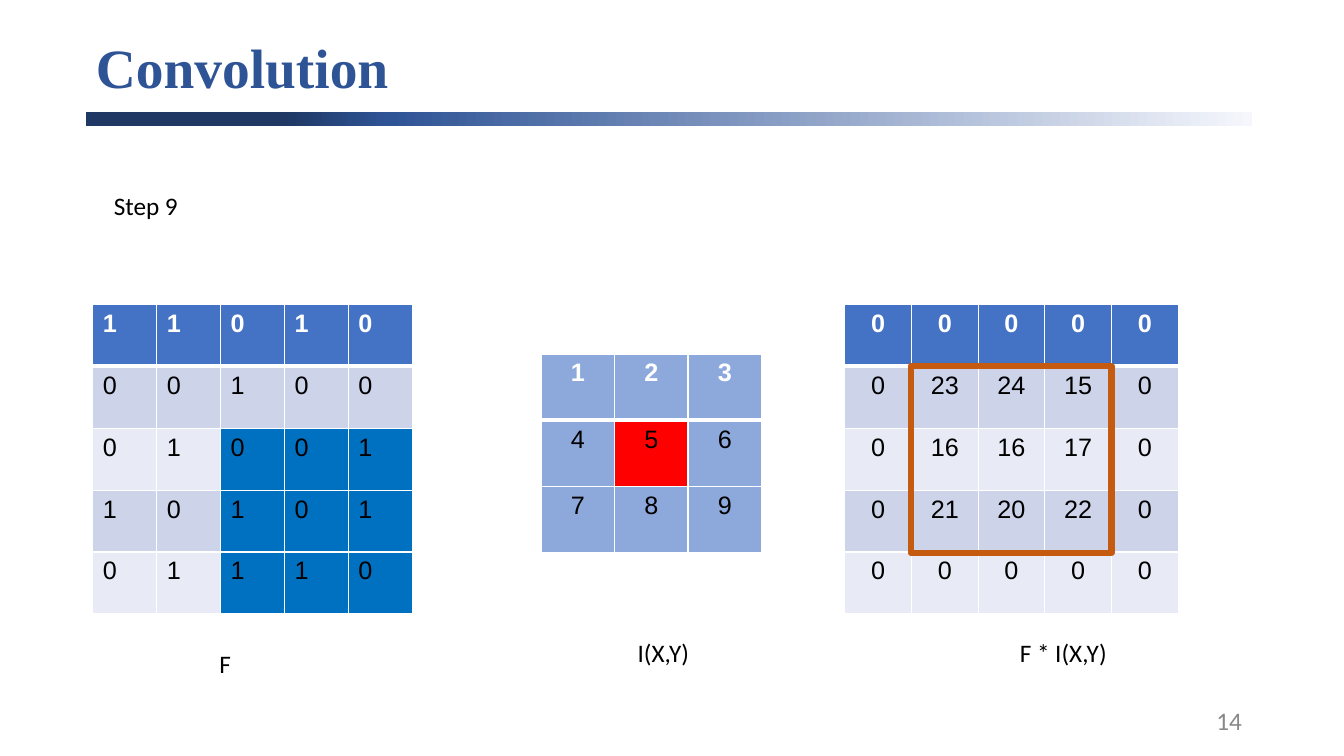
from dataclasses import dataclass, field

from lxml import etree
from pptx import Presentation
from pptx import util as u
from pptx.dml.color import RGBColor
from pptx.enum import shapes, text
from pptx.oxml import ns

COLORS = {
    "white": "FFFFFF",
    "black": "000000",
    "title": "2F5496",
    "navy": "1F3864",
    "mist": "F5F7FC",
    "header": "4472C4",
    "band_dark": "CDD4EA",
    "band_light": "E8EBF5",
    "window": "0070C0",
    "kernel": "8DA9DB",
    "center": "FF0000",
    "frame": "C55A11",
    "page": "888888",
}
BAR_STOPS = [(0, "navy"), (17, "navy"), (26, "title"), (100, "mist")]


@dataclass
class Matrix:
    left: float
    top: float
    column: float
    row: float
    values: list[list[int]]
    header: str = "header"
    bands: tuple[str, str] = ("band_dark", "band_light")
    align: text.PP_ALIGN = text.PP_ALIGN.CENTER
    marked: str = "window"
    marked_cells: set[tuple[int, int]] = field(default_factory=set)


@dataclass
class Label:
    words: str
    left: float
    top: float
    width: float
    color: str = "black"
    align: text.PP_ALIGN = text.PP_ALIGN.LEFT
    anchor: text.MSO_ANCHOR = text.MSO_ANCHOR.TOP
    wrap: bool = False


MATRICES = [
    Matrix(2.34, 7.67, 1.61, 1.56,
           [[1, 1, 0, 1, 0],
            [0, 0, 1, 0, 0],
            [0, 1, 0, 0, 1],
            [1, 0, 1, 0, 1],
            [0, 1, 1, 1, 0]],
           align=text.PP_ALIGN.LEFT,
           marked_cells={(r, c) for r in range(2, 5) for c in range(2, 5)}),
    Matrix(21.29, 7.67, 1.68, 1.56,
           [[0, 0, 0, 0, 0],
            [0, 23, 24, 15, 0],
            [0, 16, 16, 17, 0],
            [0, 21, 20, 22, 0],
            [0, 0, 0, 0, 0]]),
    Matrix(13.64, 8.92, 1.85, 1.67,
           [[1, 2, 3],
            [4, 5, 6],
            [7, 8, 9]],
           header="kernel", bands=("kernel", "kernel"),
           marked="center", marked_cells={(1, 1)}),
]

LABELS = [
    Label("Step 9", 2.62, 4.67, 2.13),
    Label("F", 5.28, 16.2, 0.81),
    Label("I(X,Y)", 15.82, 15.93, 1.83),
    Label("F * I(X,Y)", 25.45, 15.93, 2.74),
    Label("14", 23.93, 17.65, 7.62, "page", text.PP_ALIGN.RIGHT,
          text.MSO_ANCHOR.MIDDLE, True),
]


def rgb(name: str) -> RGBColor:
    return RGBColor.from_string(COLORS[name])


def style(paragraph, font: str, size: float, color: str, bold: bool = False) -> None:
    paragraph.font.name = font
    paragraph.font.size = u.Pt(size)
    paragraph.font.bold = bold
    paragraph.font.color.rgb = rgb(color)


def add_borders(cell, widths: dict[str, int]) -> None:
    properties = cell._tc.get_or_add_tcPr()
    for position, (side, width) in enumerate(widths.items()):
        border = etree.Element(ns.qn(f"a:ln{side}"), w=str(u.Pt(width)))
        fill = etree.SubElement(border, ns.qn("a:solidFill"))
        etree.SubElement(fill, ns.qn("a:srgbClr"), val=COLORS["white"])
        properties.insert(position, border)


def add_matrix(slide, matrix: Matrix) -> None:
    rows, columns = len(matrix.values), len(matrix.values[0])
    grid = slide.shapes.add_table(
        rows, columns, u.Cm(matrix.left), u.Cm(matrix.top),
        u.Cm(matrix.column * columns), u.Cm(matrix.row * rows)).table
    for column in grid.columns:
        column.width = u.Cm(matrix.column)
    for r, numbers in enumerate(matrix.values):
        grid.rows[r].height = u.Cm(matrix.row)
        row_color = matrix.bands[(r - 1) % 2] if r else matrix.header
        for c, number in enumerate(numbers):
            cell = grid.cell(r, c)
            cell.text = str(number)
            cell.fill.solid()
            cell.fill.fore_color.rgb = rgb(
                matrix.marked if (r, c) in matrix.marked_cells else row_color)
            paragraph = cell.text_frame.paragraphs[0]
            paragraph.alignment = matrix.align
            style(paragraph, "Arial", 18, "black" if r else "white", r == 0)
            add_borders(cell, {"L": 1, "R": 1, "T": 3 if r == 1 else 1,
                               "B": 1 if r else 3})


def add_label(slide, label: Label) -> None:
    frame = slide.shapes.add_textbox(
        u.Cm(label.left), u.Cm(label.top), u.Cm(label.width), u.Cm(1.03)).text_frame
    frame.word_wrap = label.wrap
    frame.vertical_anchor = label.anchor
    frame.text = label.words
    paragraph = frame.paragraphs[0]
    paragraph.alignment = label.align
    style(paragraph, "Calibri", 18, label.color)


def add_title(slide, words: str) -> None:
    title = slide.shapes.title
    title.left, title.top = u.Cm(2.16), u.Cm(0.91)
    title.width, title.height = u.Cm(29.21), u.Cm(1.75)
    title.text_frame.text = words
    title.text_frame.vertical_anchor = text.MSO_ANCHOR.MIDDLE
    paragraph = title.text_frame.paragraphs[0]
    paragraph.alignment = text.PP_ALIGN.LEFT
    paragraph.line_spacing = 0.9
    style(paragraph, "Times New Roman", 39.6, "title", True)


def add_rectangle(slide, left: float, top: float, width: float, height: float):
    rectangle = slide.shapes.add_shape(
        shapes.MSO_SHAPE.RECTANGLE, u.Cm(left), u.Cm(top), u.Cm(width), u.Cm(height))
    rectangle.shadow.inherit = False
    return rectangle


def add_title_bar(slide) -> None:
    bar = add_rectangle(slide, 2.16, 2.82, 29.39, 0.36)
    bar.line.fill.background()
    bar.fill.gradient()
    bar.fill.gradient_angle = 0
    stops = bar._element.spPr.find(".//" + ns.qn("a:gsLst"))
    for stop in list(stops):
        stops.remove(stop)
    for percent, color in BAR_STOPS:
        stop = etree.SubElement(stops, ns.qn("a:gs"), pos=str(percent * 1000))
        etree.SubElement(stop, ns.qn("a:srgbClr"), val=COLORS[color])


def add_result_frame(slide) -> None:
    frame = add_rectangle(slide, 22.96, 9.22, 5.05, 4.72)
    frame.fill.background()
    frame.line.color.rgb = rgb("frame")
    frame.line.width = u.Pt(4.5)


def main() -> None:
    deck = Presentation()
    deck.slide_width, deck.slide_height = u.Cm(33.87), u.Cm(19.05)
    slide = deck.slides.add_slide(deck.slide_layouts[5])
    add_title_bar(slide)
    add_title(slide, "Convolution")
    for matrix in MATRICES:
        add_matrix(slide, matrix)
    for label in LABELS:
        add_label(slide, label)
    add_result_frame(slide)
    deck.save("out.pptx")


if __name__ == "__main__":
    main()
